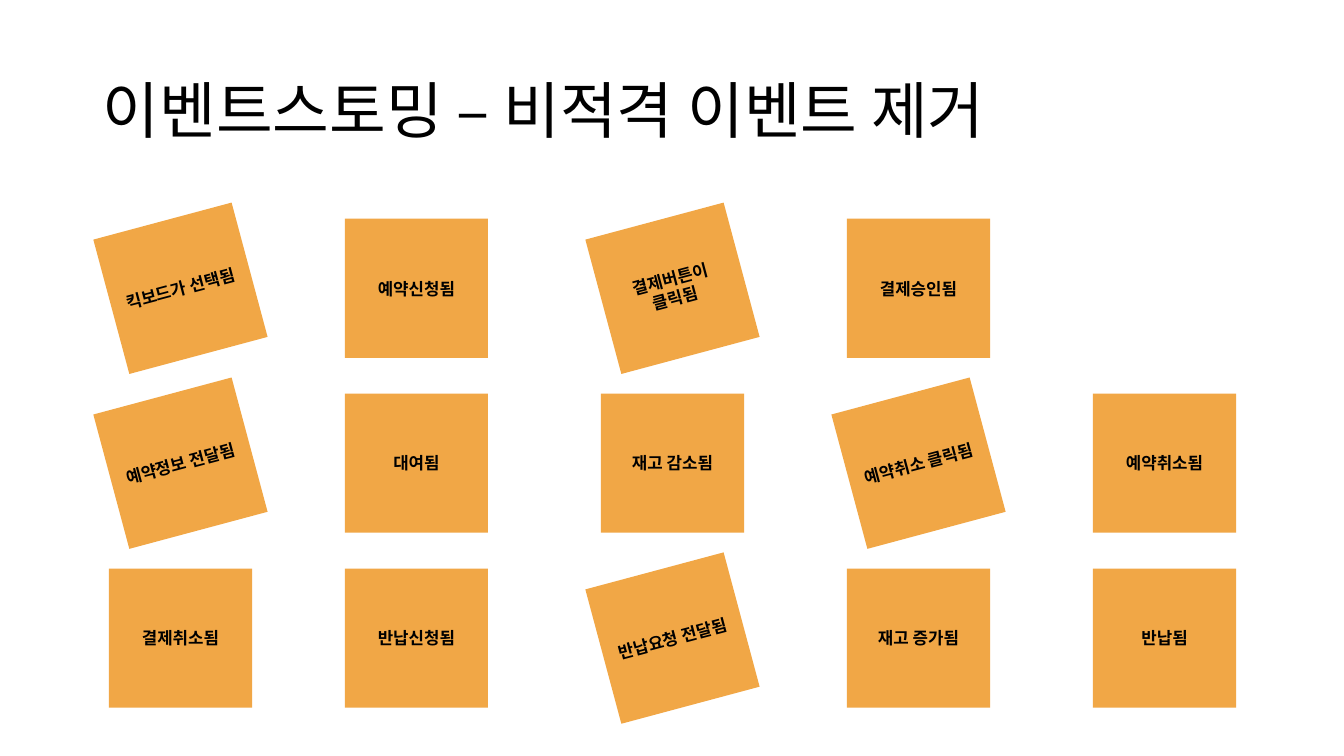
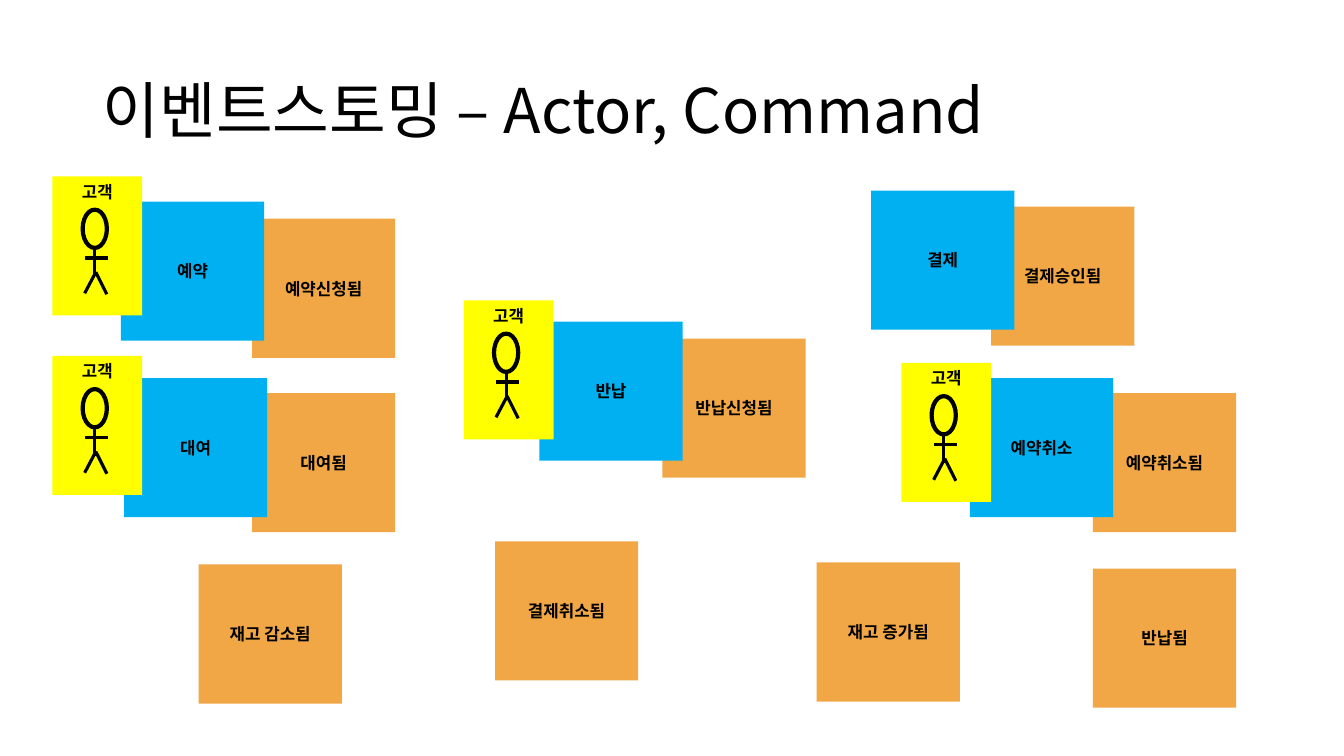
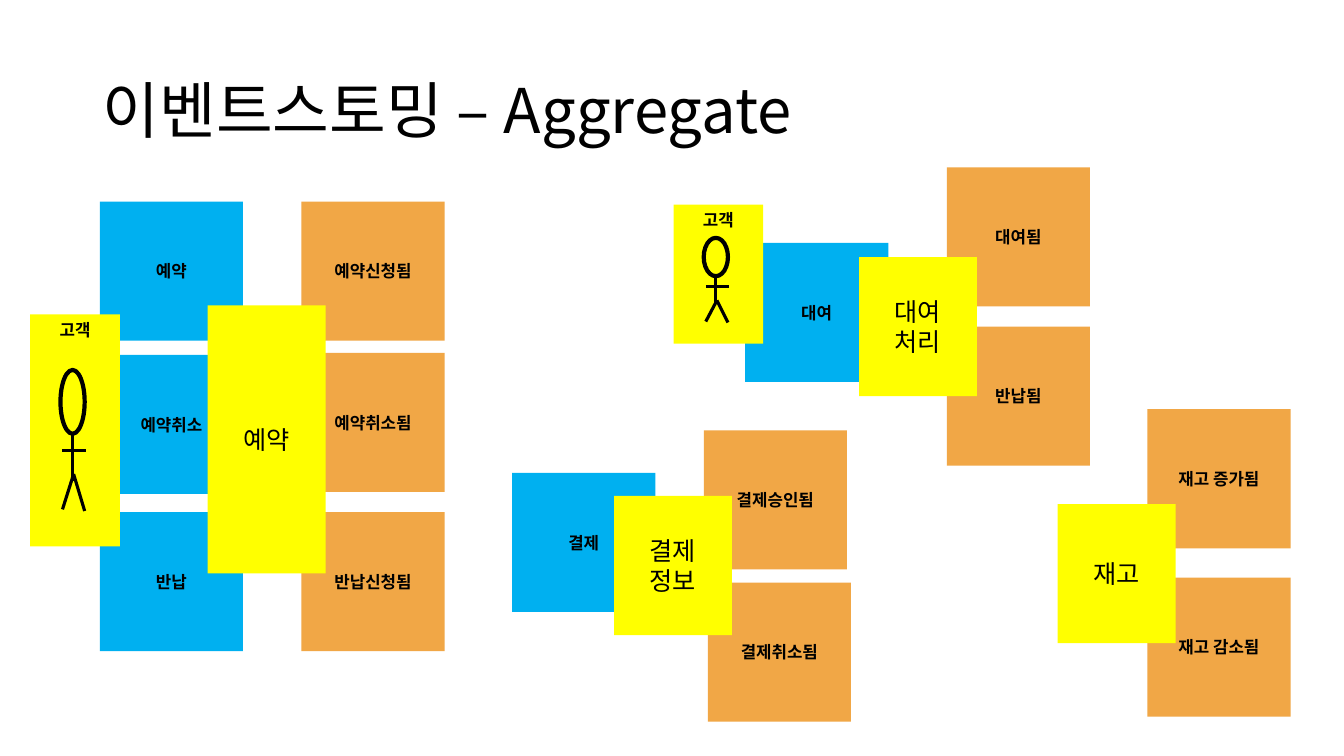
from lxml.etree import SubElement
from pptx import Presentation
from pptx.dml.color import RGBColor
from pptx.enum.shapes import MSO_CONNECTOR, MSO_SHAPE
from pptx.enum.text import MSO_ANCHOR, MSO_AUTO_SIZE, PP_ALIGN
from pptx.oxml.ns import qn
from pptx.util import Inches, Pt

FONT = "Noto Sans CJK KR"
BLACK = RGBColor(0x00, 0x00, 0x00)
ORANGE = RGBColor(0xF1, 0xA7, 0x46)
BLUE = RGBColor(0x00, 0xB0, 0xF0)
YELLOW = RGBColor(0xFF, 0xFF, 0x00)
NOTE_W, NOTE_H = 1.42, 1.38
AGGREGATE_W, ACTOR_W = 1.17, 0.89

COLUMNS = [1.08, 3.42, 5.96, 8.4, 10.84]
ROW_TOP, ROW_STEP = 2.17, 1.735
EVENT_ROWS = [
    ["킥보드가 선택됨", "예약신청됨", "결제버튼이 클릭됨", "결제승인됨"],
    ["예약정보 전달됨", "대여됨", "재고 감소됨", "예약취소 클릭됨", "예약취소됨"],
    ["결제취소됨", "반납신청됨", "반납요청 전달됨", "재고 증가됨", "반납됨"],
]
TILTED = {"킥보드가 선택됨", "결제버튼이 클릭됨", "예약정보 전달됨",
          "예약취소 클릭됨", "반납요청 전달됨"}

SLIDES = [
    {
        "title": "이벤트스토밍 – 비적격 이벤트 제거",
        "events": [(text, x, ROW_TOP + i * ROW_STEP)
                   for i, row in enumerate(EVENT_ROWS)
                   for x, text in zip(COLUMNS, row)],
        "commands": [],
        "aggregates": [],
        "actors": [],
    },
    {
        "title": "이벤트스토밍 – Actor, Command",
        "events": [("결제승인됨", 9.83, 2.05), ("대여됨", 2.5, 3.9),
                   ("반납신청됨", 6.57, 3.36), ("결제취소됨", 4.91, 5.37),
                   ("예약취소됨", 10.84, 3.9), ("재고 감소됨", 1.97, 5.6),
                   ("반납됨", 10.84, 5.64), ("재고 증가됨", 8.1, 5.58),
                   ("예약신청됨", 2.5, 2.17)],
        "commands": [("예약", 1.2, 2), ("예약취소", 9.62, 3.75), ("반납", 5.35, 3.19),
                     ("대여", 1.23, 3.75), ("결제", 8.64, 1.89)],
        "aggregates": [],
        "actors": [(0.52, 1.75, NOTE_H), (0.52, 3.53, NOTE_H),
                   (4.6, 2.98, NOTE_H), (8.94, 3.6, NOTE_H)],
    },
    {
        "title": "이벤트스토밍 – Aggregate",
        "events": [("예약신청됨", 2.99, 2), ("예약취소됨", 2.99, 3.5),
                   ("반납신청됨", 2.99, 5.08), ("결제승인됨", 6.98, 4.27),
                   ("대여됨", 9.39, 1.66), ("반납됨", 9.39, 3.24),
                   ("결제취소됨", 7.02, 5.78), ("재고 감소됨", 11.38, 5.73),
                   ("재고 증가됨", 11.38, 4.06)],
        "commands": [("예약", 0.99, 2), ("예약취소", 0.99, 3.52), ("반납", 0.99, 5.08),
                     ("결제", 5.08, 4.69), ("대여", 7.39, 2.41)],
        "aggregates": [("예약", 2.06, 3.03, 2.66), ("대여\n처리", 8.52, 2.55, NOTE_H),
                       ("결제\n정보", 6.09, 4.92, NOTE_H), ("재고", 10.49, 5, NOTE_H)],
        "actors": [(0.3, 3.12, 2.3), (6.68, 2.03, NOTE_H)],
    },
]

LIMBS = [
    (0.32, 0.81, 0.55, 0.81),
    (0.42, 0.7, 0.42, 0.99),
    (0.42, 0.97, 0.32, 1.16),
    (0.43, 0.95, 0.54, 1.17),
]


def write(tf, text, size, bold=False, align=PP_ALIGN.CENTER, anchor=MSO_ANCHOR.MIDDLE):
    tf.word_wrap = True
    tf.vertical_anchor = anchor
    for i, line in enumerate(text.split("\n")):
        p = tf.add_paragraph() if i else tf.paragraphs[0]
        p.alignment = align
        r = p.add_run()
        r.text = line
        r.font.size = Pt(size)
        r.font.bold = bold
        r.font.name = FONT
        r.font.color.rgb = BLACK
        SubElement(r.font._element, qn("a:ea"), typeface=FONT)


def add_note(shapes, text, x, y, w, h, color, size=12, bold=True, anchor=MSO_ANCHOR.MIDDLE):
    sp = shapes.add_shape(MSO_SHAPE.RECTANGLE, Inches(x), Inches(y), Inches(w), Inches(h))
    sp.shadow.inherit = False
    sp.fill.solid()
    sp.fill.fore_color.rgb = color
    sp.line.fill.background()
    write(sp.text_frame, text, size, bold, anchor=anchor)
    return sp


prs = Presentation()
prs.slide_width = Inches(13.33)
prs.slide_height = Inches(7.5)
layout = prs.slide_layouts[5]
title = layout.placeholders[0]
title.left, title.top = Inches(0.92), Inches(0.4)
title.width, title.height = Inches(11.5), Inches(1.45)

for content in SLIDES:
    s = prs.slides.add_slide(layout)
    tf = s.shapes.title.text_frame
    tf.auto_size = MSO_AUTO_SIZE.NONE
    write(tf, content["title"], 44, align=PP_ALIGN.LEFT)
    tf.paragraphs[0].line_spacing = 0.9

    for text, x, y in content["events"]:
        sp = add_note(s.shapes, text, x, y, NOTE_W, NOTE_H, ORANGE)
        if text in TILTED:
            sp.rotation = 345

    for text, x, y in content["commands"]:
        add_note(s.shapes, text, x, y, NOTE_W, NOTE_H, BLUE)

    for text, x, y, h in content["aggregates"]:
        add_note(s.shapes, text, x, y, AGGREGATE_W, h, YELLOW, 18, False)

    for x, y, h in content["actors"]:
        scale = h / NOTE_H
        actor = s.shapes.add_group_shape()
        add_note(actor.shapes, "고객", x, y, ACTOR_W, h, YELLOW, anchor=MSO_ANCHOR.TOP)
        head = actor.shapes.add_shape(MSO_SHAPE.OVAL, Inches(x + 0.3), Inches(y + 0.33 * scale),
                                      Inches(0.24), Inches(0.38 * scale))
        head.shadow.inherit = False
        head.fill.background()
        head.line.color.rgb = BLACK
        head.line.width = Pt(3)
        for x1, y1, x2, y2 in LIMBS:
            limb = actor.shapes.add_connector(
                MSO_CONNECTOR.STRAIGHT, Inches(x + x1), Inches(y + y1 * scale),
                Inches(x + x2), Inches(y + y2 * scale))
            limb.line.color.rgb = BLACK
            limb.line.width = Pt(2.25)
            SubElement(limb._element.spPr, qn("a:effectLst"))

prs.save("out.pptx")
